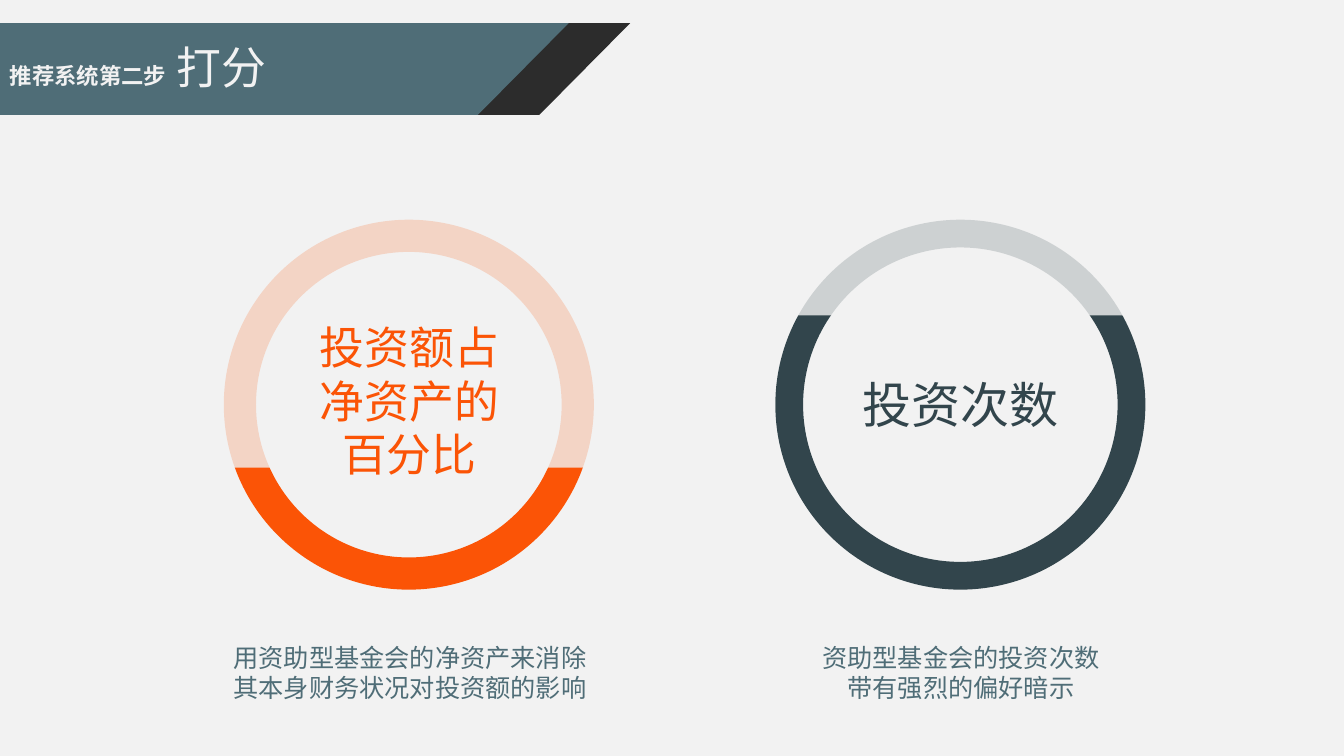
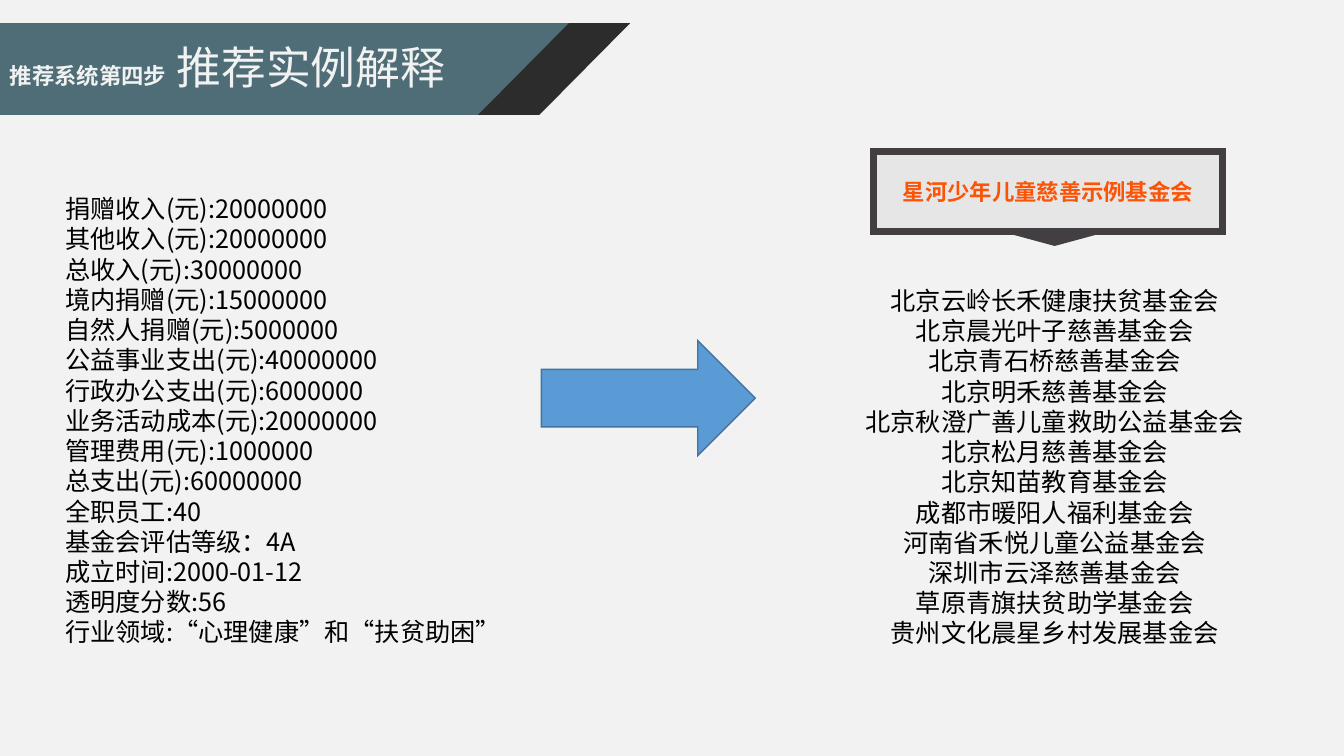
from lxml.etree import SubElement
from pptx import Presentation
from pptx.dml.color import RGBColor
from pptx.enum.shapes import MSO_SHAPE
from pptx.enum.text import MSO_ANCHOR, PP_ALIGN
from pptx.oxml.ns import qn
from pptx.util import Pt

PX = 9144
FONT = "Noto Sans CJK SC"

PAPER = RGBColor(0xF2, 0xF2, 0xF2)
CHARCOAL = RGBColor(0x2C, 0x2C, 0x2C)
TEAL = RGBColor(0x4F, 0x6D, 0x77)
SLATE = RGBColor(0x32, 0x45, 0x4C)
ORANGE = RGBColor(0xFB, 0x54, 0x06)
BLACK = RGBColor(0x00, 0x00, 0x00)
BLUE = RGBColor(0x5B, 0x9B, 0xD5)
BLUE_EDGE = RGBColor(0x43, 0x73, 0x9E)
SILVER = RGBColor(0xE7, 0xE6, 0xE6)
FRAME = RGBColor(0x42, 0x3E, 0x42)

BANDS = [(61, CHARCOAL), (0, TEAL)]
BAND_TOP, BAND_BOTTOM, BAND_WIDTH, BAND_SLANT = 23, 114, 564, 90

RING_TOP, RING_SIZE = 218, 367
FACTORS = [
    {
        "center": 406, "color": ORANGE, "thickness": 0.087,
        "name": ["投资额占", "净资产的", "百分比"],
        "name_box": (312, 242, 172), "name_size": 32,
        "caption": "用资助型基金会的净资产来消除其本身财务状况对投资额的影响",
        "caption_width": 389,
    },
    {
        "center": 953, "color": SLATE, "thickness": 0.075,
        "name": ["投资次数"],
        "name_box": (367, 236, 69), "name_size": 35,
        "caption": "资助型基金会的投资次数带有强烈的偏好暗示",
        "caption_width": 312,
    },
]
VEILS = [(133, 209, 636, 255), (661, 110, 546, 203)]
VEIL_OPACITY = 81

PROFILE = [
    "捐赠收入(元):20000000",
    "其他收入(元):20000000",
    "总收入(元):30000000",
    "境内捐赠(元):15000000",
    "自然人捐赠(元):5000000",
    "公益事业支出(元):40000000",
    "行政办公支出(元):6000000",
    "业务活动成本(元):20000000",
    "管理费用(元):1000000",
    "总支出(元):60000000",
    "全职员工:40",
    "基金会评估等级：4A",
    "成立时间:2000-01-12",
    "透明度分数:56",
    "行业领域:“心理健康”和“扶贫助困”",
]
TARGET = "星河少年儿童慈善示例基金会"
RECOMMENDED = [
    "北京云岭长禾健康扶贫基金会",
    "北京晨光叶子慈善基金会",
    "北京青石桥慈善基金会",
    "北京明禾慈善基金会",
    "北京秋澄广善儿童救助公益基金会",
    "北京松月慈善基金会",
    "北京知苗教育基金会",
    "成都市暖阳人福利基金会",
    "河南省禾悦儿童公益基金会",
    "深圳市云泽慈善基金会",
    "草原青旗扶贫助学基金会",
    "贵州文化晨星乡村发展基金会",
]


def px(*lengths):
    return [length * PX for length in lengths]


def style_run(run, size, color, bold=False):
    for key, value in {"name": FONT, "size": Pt(size), "bold": bold}.items():
        setattr(run.font, key, value)
    run.font.color.rgb = color
    SubElement(run.font._element, qn("a:ea"), typeface=FONT)


def write(frame, lines, align=PP_ALIGN.LEFT, anchor=MSO_ANCHOR.TOP):
    frame.word_wrap = True
    frame.vertical_anchor = anchor
    for index, runs in enumerate(lines):
        paragraph = frame.paragraphs[0] if index == 0 else frame.add_paragraph()
        paragraph.alignment = align
        for text, *look in runs:
            run = paragraph.add_run()
            run.text = text
            style_run(run, *look)


def add_text(slide, box, lines, align=PP_ALIGN.LEFT):
    write(slide.shapes.add_textbox(*px(*box)).text_frame, lines, align)


def paint(shape, fill, edge=None, weight=1):
    shape.shadow.inherit = False
    shape.fill.solid()
    shape.fill.fore_color.rgb = fill
    if edge is None:
        shape.line.fill.background()
        return
    shape.line.color.rgb = edge
    shape.line.width = Pt(weight)
    SubElement(shape.line._get_or_add_ln(), qn("a:miter"), lim="800000")


def add_shape(slide, kind, box, *colors):
    shape = slide.shapes.add_shape(kind, *px(*box))
    paint(shape, *colors)
    return shape


def add_page(deck, step, title):
    slide = deck.slides.add_slide(deck.slide_layouts[6])
    slide.background.fill.solid()
    slide.background.fill.fore_color.rgb = PAPER
    for left, color in BANDS:
        right = left + BAND_WIDTH
        outline = slide.shapes.build_freeform(left, BAND_TOP, scale=PX)
        outline.add_line_segments([
            (right, BAND_TOP), (right - BAND_SLANT, BAND_BOTTOM), (left, BAND_BOTTOM),
        ])
        paint(outline.convert_to_shape(), color)
    heading = [(step, 16, PAPER, True), (" " + title, 32, PAPER)]
    add_text(slide, (0, 34, 505, 64), [heading])
    return slide


def add_scoring(deck):
    slide = add_page(deck, "推荐系统第二步", "打分")
    for factor in FACTORS:
        left = factor["center"] - RING_SIZE / 2
        ring = add_shape(slide, MSO_SHAPE.DONUT,
                         map(int, (left, RING_TOP, RING_SIZE, RING_SIZE)), factor["color"])
        ring.adjustments[0] = factor["thickness"]
    for box in VEILS:
        veil = add_shape(slide, MSO_SHAPE.RECTANGLE, box, PAPER)
        tint = veil.fill._xPr.find(".//" + qn("a:srgbClr"))
        SubElement(tint, qn("a:alpha"), val=str(VEIL_OPACITY * 1000))
    for factor in FACTORS:
        top, width, height = factor["name_box"]
        name = [[(line, factor["name_size"], factor["color"])] for line in factor["name"]]
        caption = [[(factor["caption"], 18, TEAL)]]
        for top, width, height, lines in [
            (top, width, height, name),
            (632, factor["caption_width"], 71, caption),
        ]:
            box = (factor["center"] - width // 2, top, width, height)
            add_text(slide, box, lines, PP_ALIGN.CENTER)


def add_example(deck):
    slide = add_page(deck, "推荐系统第四步", "推荐实例解释")
    add_text(slide, (55, 187, 577, 464), [[(line, 18, BLACK)] for line in PROFILE])
    add_shape(slide, MSO_SHAPE.RIGHT_ARROW, (537, 338, 212, 114), BLUE, BLUE_EDGE)
    target = add_shape(slide, MSO_SHAPE.RECTANGLE, (866, 150, 347, 80), SILVER, FRAME, 5)
    write(target.text_frame, [[(TARGET, 16, ORANGE, True)]],
          PP_ALIGN.CENTER, MSO_ANCHOR.MIDDLE)
    pointer = add_shape(slide, MSO_SHAPE.ISOSCELES_TRIANGLE, (998, 231, 96, 13), FRAME)
    pointer.rotation = 180
    add_text(slide, (831, 278, 430, 374),
             [[(line, 18, BLACK)] for line in RECOMMENDED], PP_ALIGN.CENTER)


def main():
    deck = Presentation()
    deck.slide_width, deck.slide_height = px(1333, 750)
    add_scoring(deck)
    add_example(deck)
    deck.save("out.pptx")


if __name__ == "__main__":
    main()
